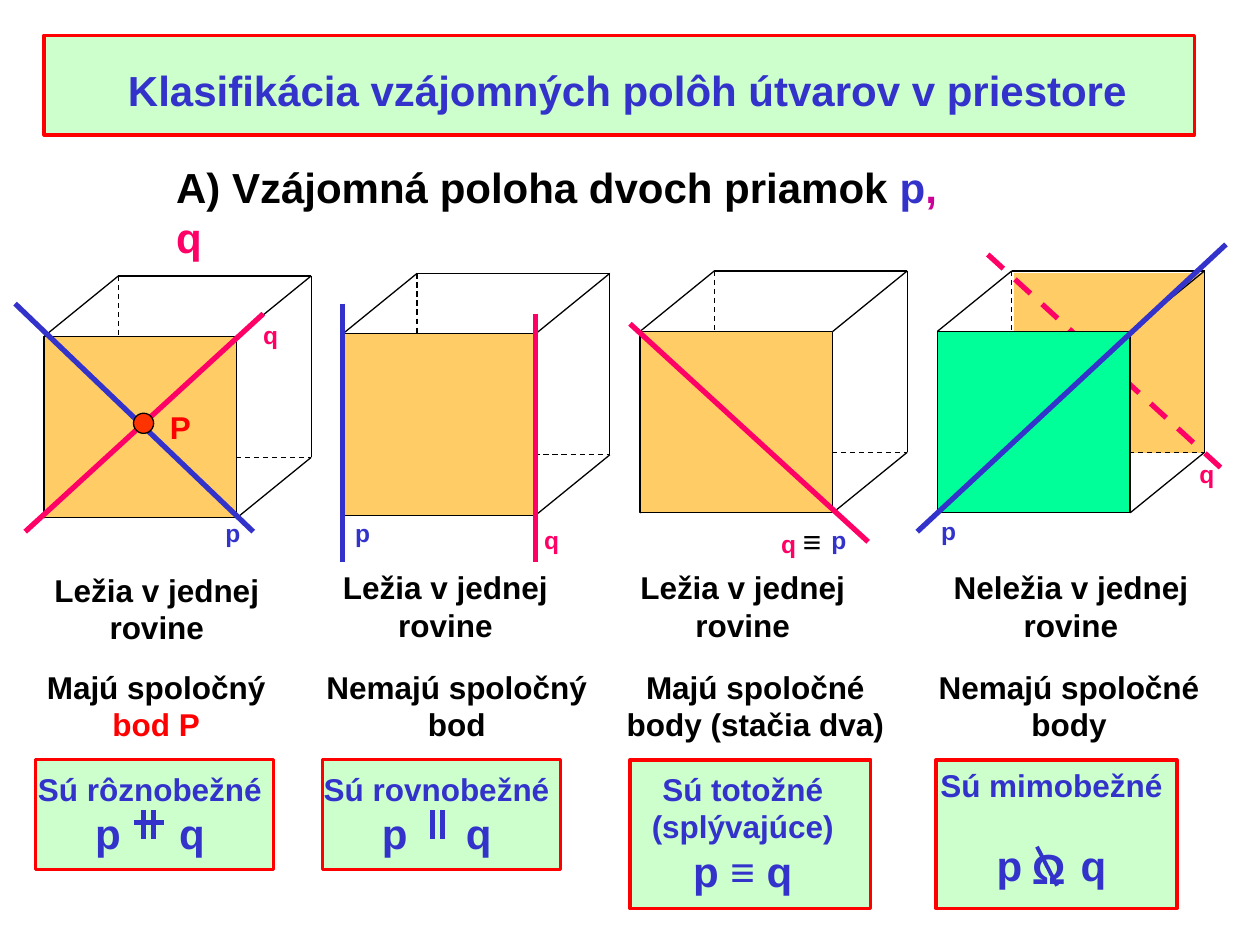
from lxml import etree
from pptx import Presentation
from pptx.dml.color import RGBColor
from pptx.enum.dml import MSO_LINE
from pptx.enum.shapes import MSO_CONNECTOR, MSO_SHAPE
from pptx.enum.text import PP_ALIGN
from pptx.oxml.ns import qn
from pptx.util import Inches, Pt

RECT, OVAL = MSO_SHAPE.RECTANGLE, MSO_SHAPE.OVAL
LEFT, MID = PP_ALIGN.LEFT, PP_ALIGN.CENTER
DASH, LINE = MSO_LINE.DASH, MSO_CONNECTOR.STRAIGHT
BLACK, WHITE, RED = "000000", "FFFFFF", "FF0000"
BLUE, PINK, PLUM = "3333CC", "FF0066", "CC0099"
SAND, MINT, GREEN, CORAL = "FFCC66", "CCFFCC", "00FF99", "FF3300"
SIDE, TALL, DEEP, RISE = 1.53, 1.44, 0.59, 0.48
hue = RGBColor.from_string

deck = Presentation()
deck.slide_width, deck.slide_height = Inches(10), Inches(7.5)
slide = deck.slides.add_slide(deck.slide_layouts[6])
shapes = slide.shapes


def draw_line(home, ends, color, width, dash=None):
    line = home.add_connector(LINE, *[Inches(v) for v in ends])
    line.line.color.rgb = hue(color)
    line.line.width = Pt(width)
    if dash:
        line.line.dash_style = dash
    etree.SubElement(line._element.spPr, qn("a:effectLst"))


def draw_shape(kind, box, fill, edge, width):
    shape = shapes.add_shape(kind, *[Inches(v) for v in box])
    shape.shadow.inherit = False
    shape.fill.solid()
    shape.fill.fore_color.rgb = hue(fill)
    shape.line.color.rgb = hue(edge)
    shape.line.width = Pt(width)


draw_shape(RECT, (8.04, 2.16, SIDE, TALL), SAND, WHITE, 0.75)

cubes = [(0.35, 2.67, SAND), (2.72, 2.65, SAND), (5.08, 2.63, SAND), (7.44, 2.63, GREEN)]
for x, y, fill in cubes:
    group = shapes.add_group_shape()
    right, low = x + SIDE, y + TALL
    back, top = x + DEEP, y - RISE
    far, floor = right + DEEP, low - RISE
    edges = [
        (right, low, far, floor, None),
        (far, top, far, floor, None),
        (back, top, far, top, None),
        (x, y, back, top, None),
        (right, y, far, top, None),
        (back, floor, far, floor, DASH),
        (back, top, back, floor, DASH),
        (x, low, back, floor, DASH),
    ]
    for *ends, dash in edges:
        draw_line(group.shapes, ends, BLACK, 0.75, dash)

draw_line(shapes, (7.84, 2.02, 9.73, 3.75), PINK, 3, DASH)
for x, y, fill in cubes:
    draw_shape(RECT, (x, y, SIDE, TALL), fill, BLACK, 0.75)

frames = [
    (0.35, 0.28, 9.13, 0.79),
    (0.28, 6.03, 1.89, 0.87),
    (2.56, 6.03, 1.89, 0.87),
    (5, 6.03, 1.91, 1.18),
    (7.43, 6.03, 1.91, 1.18),
]
for box in frames:
    draw_shape(RECT, box, MINT, RED, 2)

lines = [
    (0.12, 2.41, 2.01, 4.22, BLUE, 3),
    (2.09, 2.49, 0.2, 4.22, PINK, 3),
    (4.25, 2.49, 4.25, 4.46, PINK, 3),
    (2.72, 2.41, 2.72, 4.46, BLUE, 3),
    (5, 2.57, 6.89, 4.3, PINK, 3),
    (9.73, 1.94, 7.28, 4.22, BLUE, 3),
    (1.14, 6.43, 1.14, 6.66, BLUE, 3),
    (1.22, 6.43, 1.22, 6.66, BLUE, 3),
    (1.06, 6.53, 1.3, 6.53, BLUE, 3),
    (3.43, 6.43, 3.43, 6.66, BLUE, 3),
    (3.51, 6.43, 3.51, 6.66, BLUE, 3),
]
for *ends, color, width in lines:
    draw_line(shapes, ends, color, width)
draw_shape(OVAL, (1.06, 3.28, 0.16, 0.16), CORAL, BLACK, 0.75)

pair = [("p", 24, BLUE), (" ", 24, BLUE), ("q", 24, BLUE)]
texts = [
    (0.86, 0.46, 8.24, 0.5, MID, [[("Klasifikácia vzájomných polôh útvarov v priestore", 24, BLUE)]]),
    (1.3, 1.23, 6.5, 0.5, LEFT, [[("A) Vzájomná poloha dvoch priamok ", 24, BLACK),
                                  ("p", 24, BLUE), (", ", 24, PLUM), ("q", 24, PINK)]]),
    (6.1, 4.09, 0.62, 0.63, LEFT, [[("q ", 14, PINK), ("≡", 18, BLACK)]]),
    (1.25, 3.19, 0.37, 0.4, LEFT, [[("P", 18, RED)]]),
    (8.09, 6.64, 0.61, 0.5, LEFT, [[("Ω", 24, BLUE)]]),
    (0.2, 6.06, 1.98, 0.8, MID, [[("Sú rôznobežné", 18, BLUE)], pair]),
    (2.47, 6.06, 1.99, 0.8, MID, [[("Sú rovnobežné", 18, BLUE)], pair]),
    (5.07, 6.06, 1.65, 1.1, MID, [[("Sú totožné", 18, BLUE)], [("(splývajúce)", 18, BLUE)],
                                  [("p ≡ q", 24, BLUE)]]),
    (7.36, 6.03, 1.97, 1.1, MID, [[("Sú mimobežné", 18, BLUE)], pair]),
]
marks = [
    (1.69, 4.06, "p", BLUE), (1.99, 2.49, "q", PINK),
    (2.72, 4.06, "p", BLUE), (4.22, 4.12, "q", PINK),
    (6.5, 4.12, "p", BLUE), (7.37, 4.05, "p", BLUE), (9.42, 3.59, "q", PINK),
]
for x, y, name, color in marks:
    texts.append((x, y, 0.32, 0.33, LEFT, [[(name, 14, color)]]))
notes = [
    (0.33, 4.48, 1.83, "Ležia v jednej", "rovine", BLACK),
    (2.62, 4.46, 1.83, "Ležia v jednej", "rovine", BLACK),
    (4.98, 4.46, 1.83, "Ležia v jednej", "rovine", BLACK),
    (7.47, 4.46, 2.06, "Neležia v jednej", "rovine", BLACK),
    (0.27, 5.25, 1.94, "Majú spoločný", "bod P", RED),
    (2.49, 5.25, 2.27, "Nemajú spoločný", "bod", BLACK),
    (4.84, 5.25, 2.31, "Majú spoločné", "body (stačia dva)", BLACK),
    (7.35, 5.25, 2.27, "Nemajú spoločné", "body", BLACK),
]
for x, y, wide, head, tail, color in notes:
    texts.append((x, y, wide, 0.7, MID, [[(head, 18, BLACK)], [(tail, 18, color)]]))

for *box, align, paras in texts:
    frame = shapes.add_textbox(*[Inches(v) for v in box]).text_frame
    frame.word_wrap = align == LEFT and box[2] > 0.6
    for i, runs in enumerate(paras):
        para = frame.paragraphs[0] if i == 0 else frame.add_paragraph()
        para.alignment = align
        if paras[0][0][0] == "Sú mimobežné" and i == 1:
            para.space_before = Pt(20.7)
        first, size, color = runs[0]
        para.font.name, para.font.bold = "Arial", True
        para.font.size, para.font.color.rgb = Pt(size), hue(color)
        for word, points, tint in runs:
            run = para.add_run()
            run.text = word
            if points != size:
                run.font.size = Pt(points)
            if tint != color:
                run.font.color.rgb = hue(tint)
            if word == "≡":
                run.font.bold = False
            if word == " ":
                run._r.get_or_add_rPr().set("spc", "2670")

draw_line(shapes, (8.23, 6.72, 8.39, 7.03), BLUE, 2.25)
deck.save("out.pptx")
